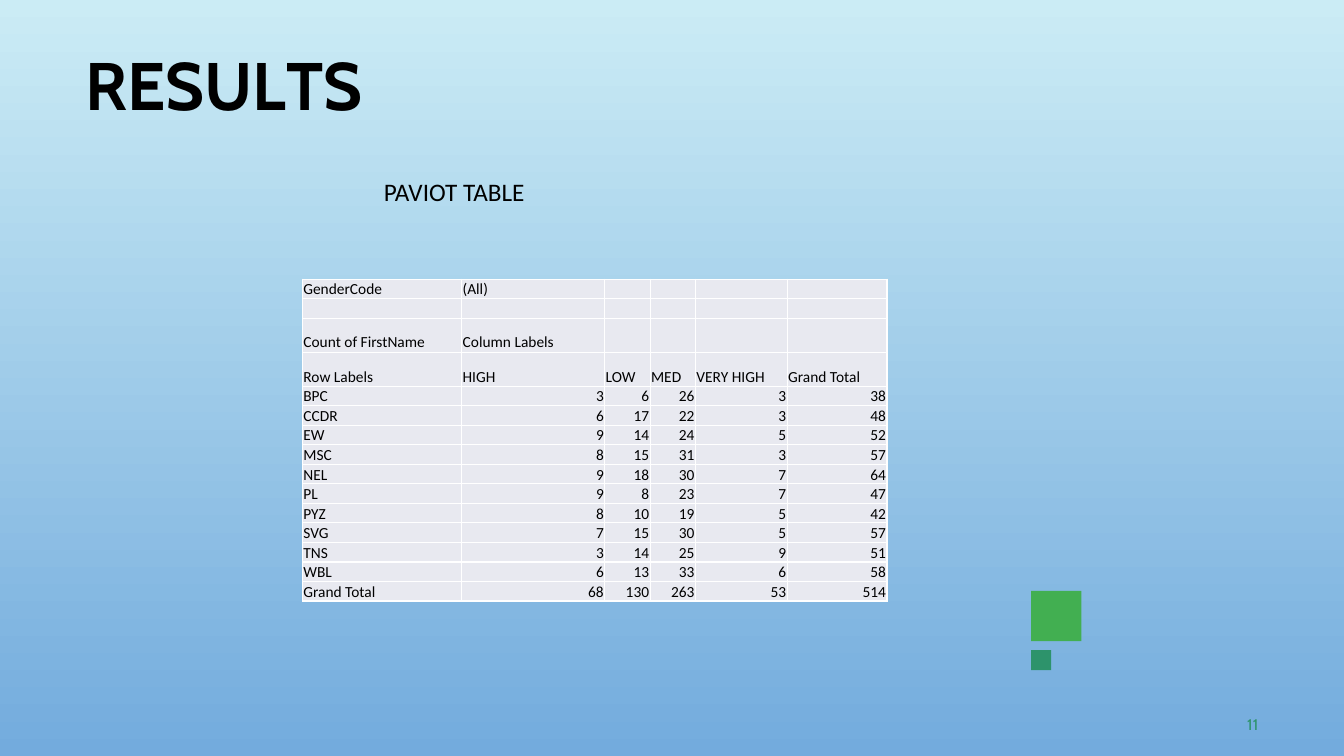
import pptx
import pptx.util
import pptx.dml.color
import pptx.enum.shapes
import pptx.enum.text
import pptx.oxml
import pptx.oxml.ns

Pt = pptx.util.Pt
RGBColor = pptx.dml.color.RGBColor

SKY_TOP = RGBColor(0xCB, 0xEC, 0xF5)
SKY_BOTTOM = RGBColor(0x73, 0xAB, 0xDD)
GREEN = RGBColor(0x42, 0xAF, 0x51)
TEAL = RGBColor(0x2D, 0x93, 0x6B)
BLACK = RGBColor(0, 0, 0)
CELL_FILL = RGBColor(0xE8, 0xE9, 0xF0)
BORDER = RGBColor(0xFF, 0xFF, 0xFF)


def add_label(box, pieces, size, font_name, color, bold=False, margins=(7.2, 3.6, 7.2, 3.6), space_before=0):
    """Add a text box; pieces are (text, letter spacing in points)."""
    text_frame = slide.shapes.add_textbox(*map(Pt, box)).text_frame
    text_frame.word_wrap = True
    text_frame.auto_size = pptx.enum.text.MSO_AUTO_SIZE.SHAPE_TO_FIT_TEXT
    (text_frame.margin_left, text_frame.margin_top,
     text_frame.margin_right, text_frame.margin_bottom) = map(Pt, margins)
    paragraph = text_frame.paragraphs[0]
    paragraph.space_before = Pt(space_before)
    for text, spacing in pieces:
        run = paragraph.add_run()
        run.text = text
        run.font.size = Pt(size)
        run.font.name = font_name
        run.font.bold = bold
        run.font.color.rgb = color
        if spacing:
            run.font._element.set("spc", str(round(spacing * 100)))


def add_borders(cell):
    properties = cell._tc.get_or_add_tcPr()
    for side in ("lnL", "lnR", "lnT", "lnB"):
        properties.append(pptx.oxml.parse_xml(
            f'<a:{side} {pptx.oxml.ns.nsdecls("a")} w="12700"><a:solidFill>'
            f'<a:srgbClr val="{BORDER}"/></a:solidFill></a:{side}>'))


presentation = pptx.Presentation()
presentation.slide_width = Pt(960)
presentation.slide_height = Pt(540)
slide = presentation.slides.add_slide(presentation.slide_layouts[6])

background = slide.background.fill
background.gradient()
background.gradient_angle = 270
for stop, color in zip(background.gradient_stops, (SKY_TOP, SKY_BOTTOM)):
    stop.color.rgb = color

for top, side, color in ((422, 36, GREEN), (464.4, 14.4, TEAL)):
    square = slide.shapes.add_shape(
        pptx.enum.shapes.MSO_SHAPE.RECTANGLE, Pt(736.5), Pt(top), Pt(side), Pt(side))
    square.shadow.inherit = False
    square.fill.solid()
    square.fill.fore_color.rgb = color
    square.line.fill.background()

title = [("R", 0), ("E", -0.4), ("S", 0.1), ("U", -0.3), ("L", -4.1), ("TS", 0)]
add_label((59.8, 30.2, 224, 58.3), title, 48, "Cabin", BLACK, True, (1, 1, 0, 0), 1.1)
add_label((887.8, 509.8, 18, 13.7), [("11", 0.1)], 11, "Cabin", TEAL, False, (3, 0.7, 0, 0), 0.5)
add_label((267.1, 122.4, 180, 28.8), [("PAVIOT TABLE", 0)], 18, "Calibri", BLACK)

HEADER_ROWS = 4
rows = [
    ("GenderCode", "(All)", "", "", "", ""),
    ("", "", "", "", "", ""),
    ("Count of FirstName", "Column Labels", "", "", "", ""),
    ("Row Labels", "HIGH", "LOW", "MED", "VERY HIGH", "Grand Total"),
    ("BPC", 3, 6, 26, 3, 38),
    ("CCDR", 6, 17, 22, 3, 48),
    ("EW", 9, 14, 24, 5, 52),
    ("MSC", 8, 15, 31, 3, 57),
    ("NEL", 9, 18, 30, 7, 64),
    ("PL", 9, 8, 23, 7, 47),
    ("PYZ", 8, 10, 19, 5, 42),
    ("SVG", 7, 15, 30, 5, 57),
    ("TNS", 3, 14, 25, 9, 51),
    ("WBL", 6, 13, 33, 6, 58),
    ("Grand Total", 68, 130, 263, 53, 514),
]
column_widths = (113.8, 102.2, 32.4, 32.4, 65.5, 71.3)
row_heights = [24.3 if index in (2, 3) else 13.95 for index in range(len(rows))]

table = slide.shapes.add_table(
    len(rows), len(column_widths), Pt(216), Pt(199.4),
    Pt(sum(column_widths)), Pt(sum(row_heights))).table
table.first_row = False
table.horz_banding = False
for column, width in zip(table.columns, column_widths):
    column.width = Pt(width)

for row_index, values in enumerate(rows):
    table.rows[row_index].height = Pt(row_heights[row_index])
    for column_index, value in enumerate(values):
        cell = table.cell(row_index, column_index)
        cell.margin_left = cell.margin_top = cell.margin_right = Pt(0.7)
        cell.margin_bottom = 0
        cell.vertical_anchor = pptx.enum.text.MSO_ANCHOR.BOTTOM
        add_borders(cell)
        cell.fill.solid()
        cell.fill.fore_color.rgb = CELL_FILL
        paragraph = cell.text_frame.paragraphs[0]
        if value == "":
            # An empty cell needs its own text size to keep the row low.
            paragraph._p.append(pptx.oxml.parse_xml(
                f'<a:endParaRPr {pptx.oxml.ns.nsdecls("a")} sz="1100"/>'))
            continue
        paragraph.text = str(value)
        if row_index >= HEADER_ROWS and column_index > 0:
            paragraph.alignment = pptx.enum.text.PP_ALIGN.RIGHT
        font = paragraph.runs[0].font
        font.size = Pt(11)
        font.name = "Calibri"
        font.bold = False
        font.color.rgb = BLACK

presentation.save("out.pptx")
